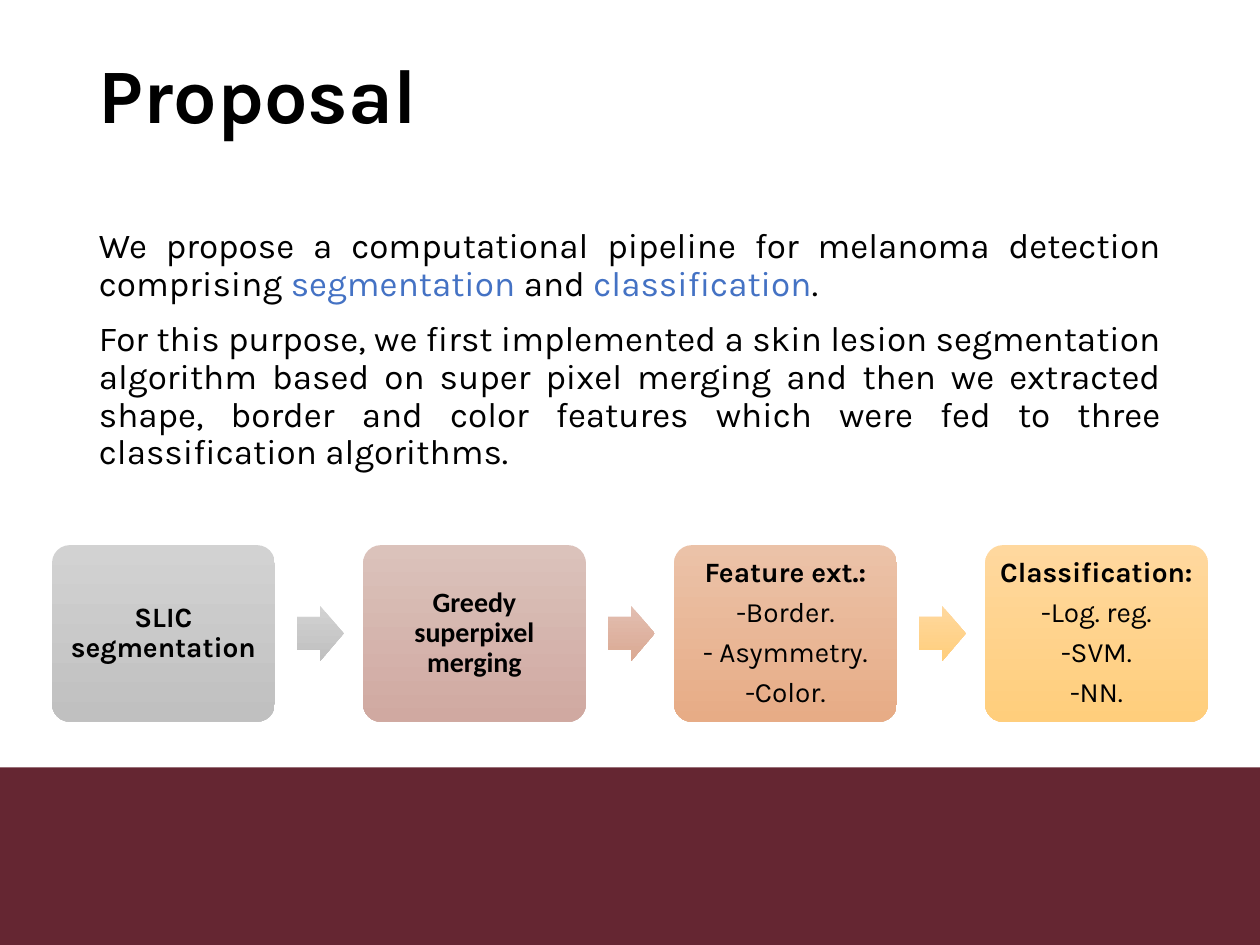
from typing import NamedTuple

from lxml import etree
from pptx import Presentation
from pptx.dml.color import RGBColor
from pptx.enum.shapes import MSO_SHAPE
from pptx.enum.text import MSO_ANCHOR, MSO_AUTO_SIZE, PP_ALIGN
from pptx.oxml.ns import qn
from pptx.util import Cm, Pt

RECT = MSO_SHAPE.RECTANGLE
ROUNDED = MSO_SHAPE.ROUNDED_RECTANGLE
ARROW = MSO_SHAPE.RIGHT_ARROW
TOP, MIDDLE = MSO_ANCHOR.TOP, MSO_ANCHOR.MIDDLE
LEFT, CENTER, JUSTIFY = PP_ALIGN.LEFT, PP_ALIGN.CENTER, PP_ALIGN.JUSTIFY
NO_AUTOFIT = MSO_AUTO_SIZE.NONE

BLACK = RGBColor(0x00, 0x00, 0x00)
BLUE = RGBColor(0x44, 0x72, 0xC4)
MAROON = RGBColor(0x65, 0x26, 0x32)


class Gradient(NamedTuple):
    top: RGBColor
    bottom: RGBColor


GRAY = Gradient(RGBColor(0xD2, 0xD2, 0xD2), RGBColor(0xC0, 0xC0, 0xC0))
ROSE = Gradient(RGBColor(0xDB, 0xC2, 0xBB), RGBColor(0xD0, 0xA9, 0xA1))
TAN = Gradient(RGBColor(0xE2, 0xBE, 0xB1), RGBColor(0xDB, 0xA9, 0x93))
ORANGE = Gradient(RGBColor(0xEB, 0xC2, 0xA8), RGBColor(0xE7, 0xAC, 0x86))
YELLOW = Gradient(RGBColor(0xFF, 0xD8, 0x9E), RGBColor(0xFF, 0xCE, 0x7C))


class Step(NamedTuple):
    heading: str
    items: list[str]
    fill: Gradient
    arrow: Gradient | None
    font: str = "Karla"


STEPS = [
    Step("SLIC segmentation", [], GRAY, GRAY),
    Step("Greedy superpixel merging", [], ROSE, TAN, "Calibri"),
    Step("Feature ext.:", ["-Border.", "- Asymmetry.", "-Color."], ORANGE, YELLOW),
    Step("Classification:", ["-Log. reg.", "-SVM.", "-NN."], YELLOW, None),
]

BODY = [
    [("We propose a computational pipeline for melanoma detection comprising ", BLACK),
     ("segmentation", BLUE), (" and ", BLACK), ("classification", BLUE), (".", BLACK)],
    [("For this purpose, we first implemented a skin lesion segmentation algorithm "
      "based on super pixel merging and then we extracted shape, border and color "
      "features which were fed to three classification algorithms.", BLACK)],
]

TEXT_LEFT, TEXT_W = Cm(1.74), Cm(21.93)
STEP_LEFT, STEP_TOP, STEP_PITCH = Cm(1.05), Cm(10.99), Cm(6.27)
STEP_W, STEP_H = Cm(4.49), Cm(3.56)
ARROW_OFFSET, ARROW_W, ARROW_H = Cm(4.93), Cm(0.95), Cm(1.11)


def style_run(r, size: float, color: RGBColor, bold: bool = False, font: str = "Karla") -> None:
    r.font.name = font
    r.font.size = Pt(size)
    r.font.bold = bold
    r.font.color.rgb = color


def place(sp, left: int, top: int, width: int, height: int) -> None:
    sp.left, sp.top, sp.width, sp.height = left, top, width, height


def add_plain_shape(s, kind, left: int, top: int, width: int, height: int):
    """Add a shape without shadow or outline."""
    sp = s.shapes.add_shape(kind, left, top, width, height)
    sp.shadow.inherit = False
    sp.line.fill.background()
    return sp


def fill_gradient(sp, gradient: Gradient) -> None:
    sp.fill.gradient()
    sp.fill.gradient_angle = 270
    for stop, color in zip(sp.fill.gradient_stops, gradient):
        stop.color.rgb = color


def add_band(s) -> None:
    """Add the footer band behind the placeholders."""
    band = add_plain_shape(s, RECT, 0, Cm(15.47), Cm(25.4), Cm(3.58))
    band.fill.solid()
    band.fill.fore_color.rgb = MAROON
    s.shapes.title.element.addprevious(band.element)


def write_title(sp) -> None:
    place(sp, TEXT_LEFT, Cm(1.02), TEXT_W, Cm(3.68))
    tf = sp.text_frame
    tf.text = "Proposal"
    tf.auto_size = NO_AUTOFIT
    tf.vertical_anchor = TOP
    p = tf.paragraphs[0]
    p.alignment = LEFT
    p.line_spacing = 0.9
    style_run(p.runs[0], 44, BLACK, bold=True)


def write_body(sp) -> None:
    place(sp, TEXT_LEFT, Cm(4.47), TEXT_W, Cm(12.09))
    tf = sp.text_frame
    tf.auto_size = NO_AUTOFIT
    for i, parts in enumerate(BODY):
        p = tf.add_paragraph() if i else tf.paragraphs[0]
        pPr = p._p.get_or_add_pPr()
        pPr.set("marL", "0")
        pPr.set("indent", "0")
        etree.SubElement(pPr, qn("a:buNone"))
        p.alignment = JUSTIFY
        p.line_spacing = 0.9
        p.space_before = Pt(10 if i else 0)
        for text, color in parts:
            r = p.add_run()
            r.text = text
            style_run(r, 20, color)


def add_step(s, step: Step, left: int) -> None:
    """Add one pipeline box and the arrow that leads on from it."""
    box = add_plain_shape(s, ROUNDED, left, STEP_TOP, STEP_W, STEP_H)
    box.adjustments[0] = 0.1
    fill_gradient(box, step.fill)
    tf = box.text_frame
    tf.word_wrap = True
    tf.vertical_anchor = MIDDLE
    tf.margin_left = tf.margin_right = tf.margin_top = tf.margin_bottom = Cm(0.17)
    tf.text = "\n".join([step.heading, *step.items])
    for i, p in enumerate(tf.paragraphs):
        p.alignment = CENTER
        p.line_spacing = 0.9
        p.space_after = Pt(5.6)
        style_run(p.runs[0], 16, BLACK, bold=i == 0, font=step.font)

    if step.arrow:
        top = STEP_TOP + (STEP_H - ARROW_H) // 2
        arrow = add_plain_shape(s, ARROW, left + ARROW_OFFSET, top, ARROW_W, ARROW_H)
        arrow.adjustments[0] = 0.6
        arrow.adjustments[1] = 0.5
        fill_gradient(arrow, step.arrow)


def main() -> None:
    prs = Presentation()
    prs.slide_width, prs.slide_height = Cm(25.4), Cm(19.05)
    s = prs.slides.add_slide(prs.slide_layouts[1])
    add_band(s)
    write_title(s.shapes.title)
    write_body(s.placeholders[1])
    for i, step in enumerate(STEPS):
        add_step(s, step, STEP_LEFT + i * STEP_PITCH)
    prs.save("out.pptx")


if __name__ == "__main__":
    main()
